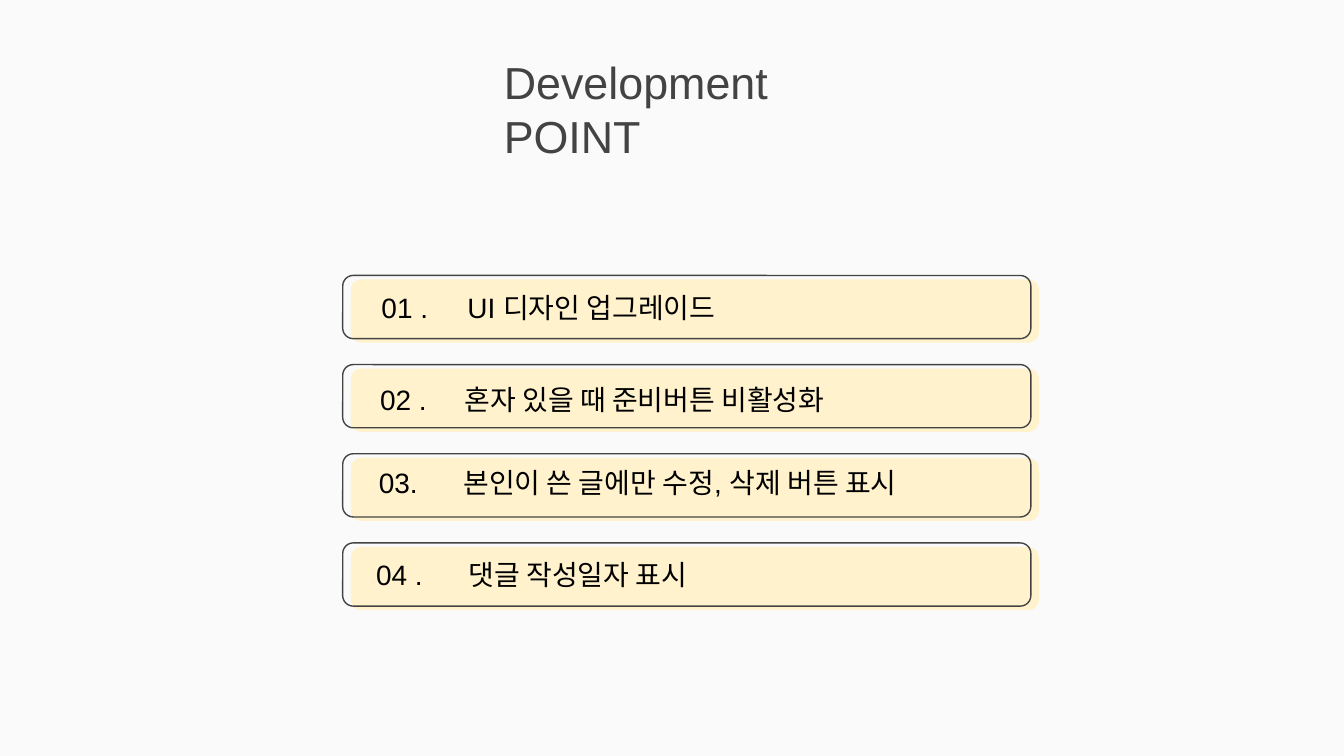
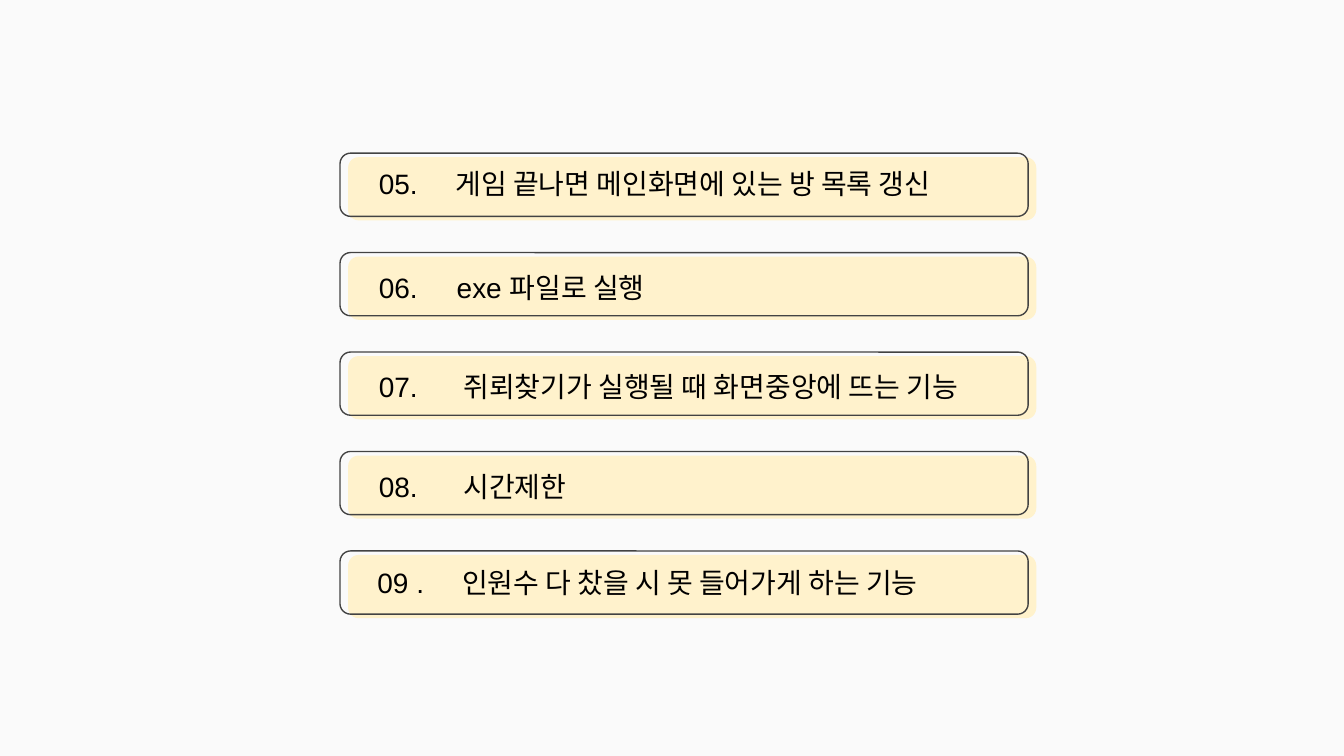
from pptx import Presentation
from pptx.dml.color import RGBColor
from pptx.enum.shapes import MSO_SHAPE as Shape
from pptx.enum.text import MSO_ANCHOR as Anchor, MSO_AUTO_SIZE as AutoSize
from pptx.oxml.ns import qn
from pptx.util import Inches, Pt
from lxml import etree

COLORS = {
    "background": "FAFAFA",
    "card": "FFF2CC",
    "ink": "434343",
    "text": "000000",
}
FONT = "Arial"

# Items: number, wording, left and top of the text relative to its card,
# and the distance from the number to the wording
SLIDES = [
    {
        "title": "Development POINT",
        "left": 2.55, "first_top": 2.05, "last_top": 4.04,
        "items": [
            ("01 .", "UI 디자인 업그레이드", 0.19, 0.01, 0.64),
            ("02 .", "혼자 있을 때 준비버튼 비활성화", 0.18, 0.03, 0.63),
            ("03.", "본인이 쓴 글에만 수정, 삭제 버튼 표시", 0.17, -0.01, 0.63),
            ("04 .", "댓글 작성일자 표시", 0.15, 0.01, 0.69),
        ],
    },
    {
        "title": None,
        "left": 2.53, "first_top": 1.14, "last_top": 4.1,
        "items": [
            ("05.", "게임 끝나면 메인화면에 있는 방 목록 갱신", 0.19, 0, 0.57),
            ("06.", "exe 파일로 실행", 0.19, 0.03, 0.58),
            ("07.", "쥐뢰찾기가 실행될 때 화면중앙에 뜨는 기능", 0.19, 0.03, 0.63),
            ("08.", "시간제한", 0.19, 0.03, 0.63),
            ("09 .", "인원수 다 찼을 시 못 들어가게 하는 기능", 0.18, 0.01, 0.63),
        ],
    },
]

CARD_WIDTH, CARD_HEIGHT = 5.12, 0.47
FILL_SHIFT = (0.06, 0.03)
TEXT_WIDTH, TEXT_HEIGHT = 4.7, 0.45
INSET = 0.1


def color(name):
    return RGBColor.from_string(COLORS[name])


def add_text(slide, text, left, top, width, height, *, size, ink,
             anchor=Anchor.TOP, tab=None, grow=False):
    box = slide.shapes.add_textbox(*map(Inches, (left, top, width, height)))
    frame = box.text_frame
    frame.word_wrap = True
    frame.vertical_anchor = anchor
    frame.auto_size = AutoSize.SHAPE_TO_FIT_TEXT if grow else AutoSize.NONE
    for side in ("left", "top", "right", "bottom"):
        setattr(frame, f"margin_{side}", Inches(INSET))
    para = frame.paragraphs[0]
    if tab:
        stops = etree.SubElement(para._p.get_or_add_pPr(), qn("a:tabLst"))
        etree.SubElement(stops, qn("a:tab"), pos=str(Inches(tab)), algn="l")
    span = para.add_run()
    span.text = text
    span.font.name = FONT
    span.font.size = Pt(size)
    span.font.color.rgb = color(ink)


def add_card(slide, left, top):
    """Group a filled panel with an outline set slightly up and to the left."""
    group = slide.shapes.add_group_shape()
    for shift, filled in ((FILL_SHIFT, True), ((0, 0), False)):
        panel = group.shapes.add_shape(
            Shape.ROUNDED_RECTANGLE, Inches(left + shift[0]),
            Inches(top + shift[1]), Inches(CARD_WIDTH), Inches(CARD_HEIGHT))
        panel.shadow.inherit = False
        panel.adjustments[0] = 1 / 6
        if filled:
            panel.fill.solid()
            panel.fill.fore_color.rgb = color("card")
            panel.line.fill.background()
        else:
            panel.fill.background()
            panel.line.color.rgb = color("ink")
            panel.line.width = Pt(0.75)


def add_slide(deck, content):
    slide = deck.slides.add_slide(deck.slide_layouts[6])
    slide.background.fill.solid()
    slide.background.fill.fore_color.rgb = color("background")
    if content["title"]:
        add_text(slide, content["title"], 3.65, 0.58, 2.98, 0.73,
                 size=24, ink="ink", anchor=Anchor.BOTTOM)
    left, first, items = content["left"], content["first_top"], content["items"]
    pitch = (content["last_top"] - first) / (len(items) - 1)
    for row, (number, wording, indent, drop, tab) in enumerate(items):
        top = first + row * pitch
        add_card(slide, left, top)
        add_text(slide, f"{number}\t{wording}", left + indent, top + drop,
                 TEXT_WIDTH, TEXT_HEIGHT, size=15, ink="text",
                 tab=tab, grow=True)


def main():
    deck = Presentation()
    deck.slide_width = Inches(10)
    deck.slide_height = deck.slide_width * 9 // 16
    for content in SLIDES:
        add_slide(deck, content)
    deck.save("out.pptx")


if __name__ == "__main__":
    main()
